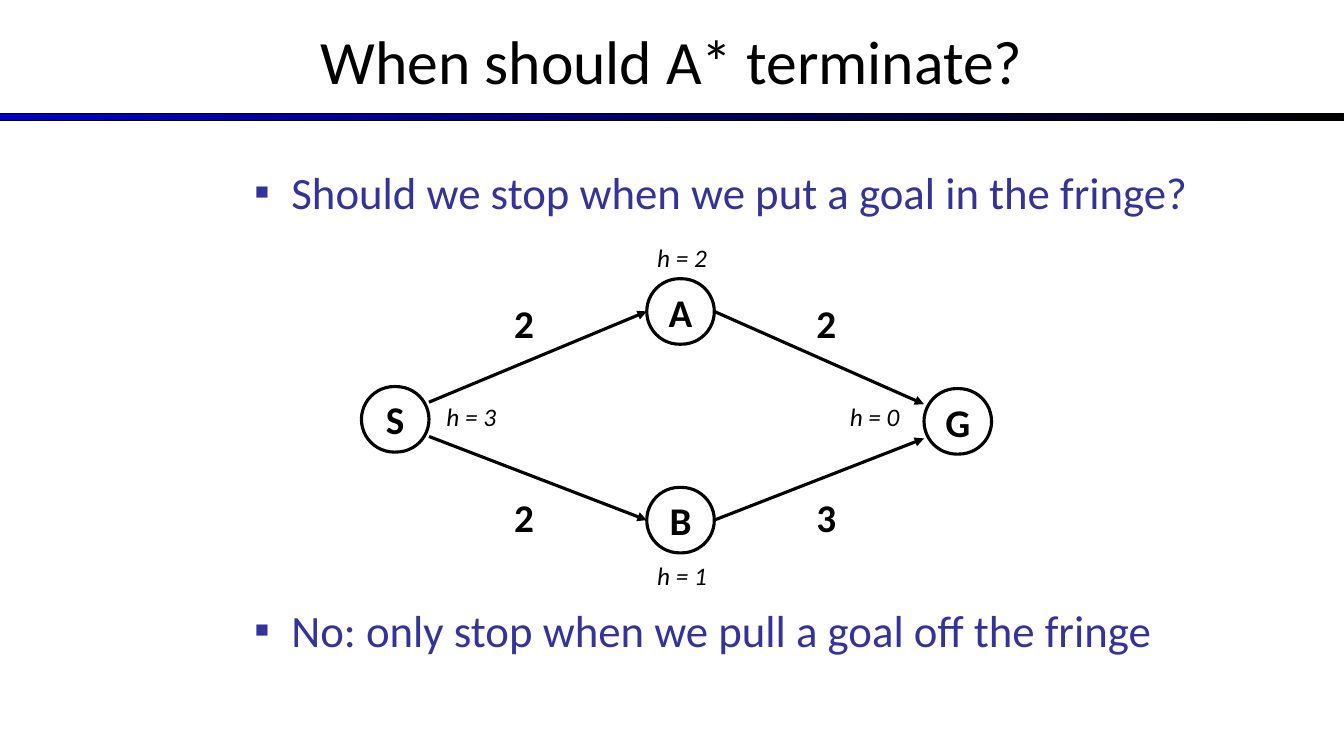
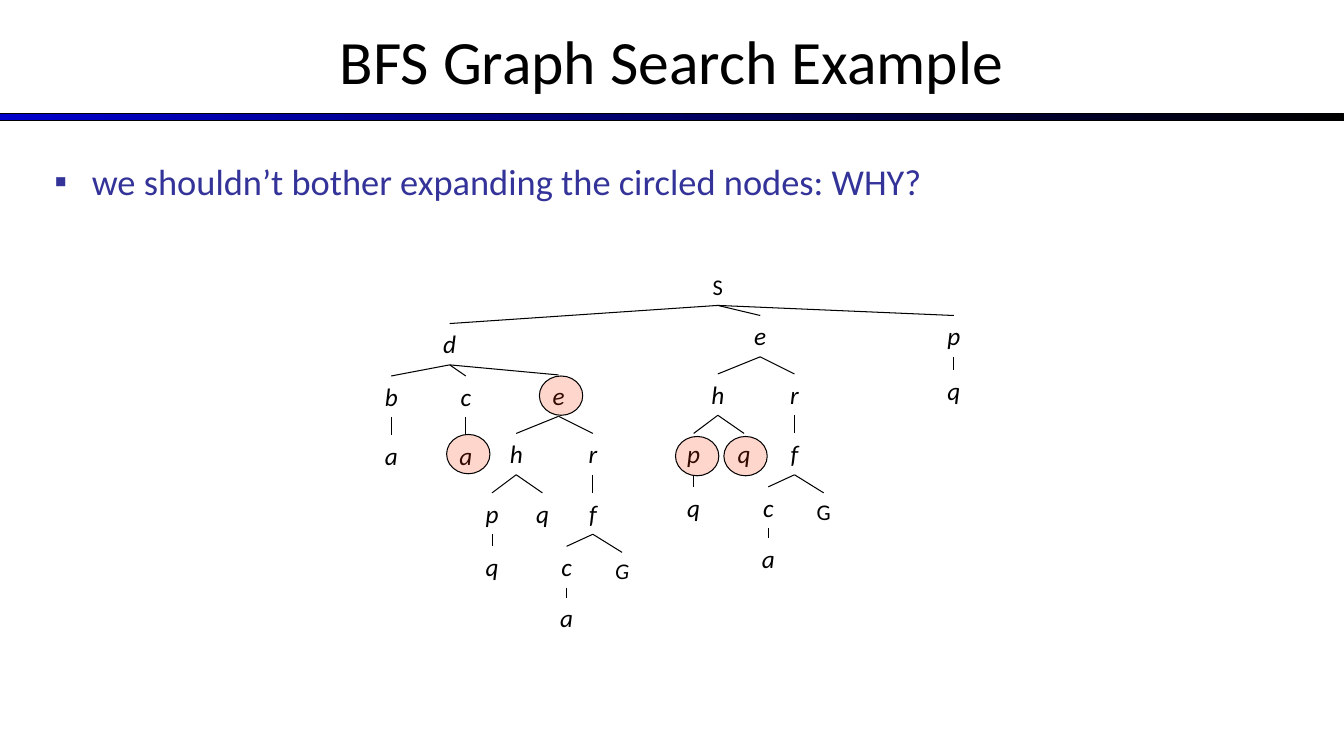
import pptx
import pptx.util
import pptx.dml.color
import pptx.enum.shapes
import pptx.enum.text
from lxml import etree
from pptx.oxml.ns import qn

Inches, Pt = pptx.util.Inches, pptx.util.Pt
SHAPE = pptx.enum.shapes.MSO_SHAPE
ALIGN = pptx.enum.text.PP_ALIGN
ANCHOR = pptx.enum.text.MSO_ANCHOR

# Shared style
WIDTH, HEIGHT = 13.33, 7.5
FONT = "Calibri"
BLACK, NAVY, BLUE, RED = "000000", "333399", "0000CC", "FF3300"
TITLE_BOX = (0, -0.03, WIDTH, 1.25)
RULE_BOX = (0, 1.13, WIDTH, 0.07)

# Content: search graph
GRAPH_TITLE = "When should A* terminate?"
GRAPH_POINTS = ["Should we stop when we put a goal in the fringe?",
                "No: only stop when we pull a goal off the fringe"]
STATE_W, STATE_H = 0.67, 0.65
STATES = {  # centre of each state
    "S": (3.92, 4.16),
    "B": (6.75, 5.16),
    "A": (6.75, 3.09),
    "G": (9.5, 4.18),
}
FAN = 0.17  # vertical spread of the edges at S and G
EDGES = [  # start, end, shift at start, shift at end
    ("A", "G", 0, -FAN),
    ("S", "A", -FAN, 0),
    ("S", "B", FAN, 0),
    ("B", "G", 0, FAN),
]
COSTS = [("2", 5, 2.92), ("3", 8, 4.84), ("2", 8, 2.92), ("2", 5, 4.84)]
HEURISTICS = [("h = 1", 6.42, 5.51), ("h = 2", 6.42, 2.35),
              ("h = 0", 8.33, 3.93), ("h = 3", 4.33, 3.93)]


# Content: search tree, each node placed from its parent's bottom centre
def node(label, dx, dy, *children, size=18, italic=True):
    return label, dx, dy, children, size, italic


def e_subtree(dx, dy, goal_italic):
    goal = node("G", 0.29, 0.18, size=16, italic=goal_italic)
    return node(
        "e", dx, dy,
        node("h", -0.42, 0.17,
             node("p", -0.24, 0.18, node("q", 0, 0.12)),
             node("q", 0.26, 0.18)),
        node("r", 0.34, 0.17,
             node("f", 0, 0.18,
                  node("c", -0.26, 0.12, node("a", 0, 0.1)), goal)))


TREE_TITLE = "BFS Graph Search Example"
TREE_POINTS = ["we shouldn’t bother expanding the circled nodes: WHY?"]
NODE_W = 0.42
NODE_H = {18: 0.41, 16: 0.37}
ROOT_AT = (7.12, 2.66)
TREE = node(
    "S", 0, 0,
    node("d", -2.66, 0.18,
         node("b", -0.58, 0.11, node("a", 0, 0.18)),
         node("c", 0.16, 0.11, node("a", 0, 0.18)),
         e_subtree(1.08, 0.1, True)),
    e_subtree(0.42, 0.1, False),
    node("p", 2.34, 0.1, node("q", 0, 0.13)),
    size=16, italic=False)
RING_SIZE = (0.43, 0.39)
RINGS = [(5.35, 3.73), (6.7, 4.33), (4.43, 4.31), (7.18, 4.33)]


# Drawing helpers
def color(hex_code):
    return pptx.dml.color.RGBColor.from_string(hex_code)


def box(*lengths):
    return [Inches(length) for length in lengths]


def place(shape, area):
    shape.left, shape.top, shape.width, shape.height = box(*area)


def add_run(paragraph, text, size, ink=BLACK, bold=False, italic=False):
    run = paragraph.add_run()
    run.text = text
    font = run.font
    font.name, font.size, font.bold, font.italic = FONT, Pt(size), bold, italic
    font.color.rgb = color(ink)


def add_label(slide, text, area, size, align=ALIGN.LEFT, **style):
    frame = slide.shapes.add_textbox(*box(*area)).text_frame
    frame.word_wrap = True
    frame.paragraphs[0].alignment = align
    add_run(frame.paragraphs[0], text, size, **style)


def add_outlined(slide, kind, area, weight):
    shape = slide.shapes.add_shape(kind, *box(*area))
    shape.shadow.inherit = False
    shape.fill.background()
    shape.line.color.rgb = color(BLACK)
    shape.line.width = Pt(weight)
    return shape


def add_edge(slide, start, end, weight, arrow=False):
    edge = slide.shapes.add_connector(
        pptx.enum.shapes.MSO_CONNECTOR.STRAIGHT, *box(*start, *end))
    edge.line.color.rgb = color(BLACK)
    edge.line.width = Pt(weight)
    if arrow:
        etree.SubElement(edge.line._get_or_add_ln(), qn("a:tailEnd"), type="triangle")
    etree.SubElement(edge._element.spPr, qn("a:effectLst"))


def add_bullet(paragraph):
    props = paragraph._p.get_or_add_pPr()
    props.set("marL", str(Inches(0.37)))
    props.set("indent", str(-Inches(0.37)))
    ink = etree.SubElement(props, qn("a:buClr"))
    etree.SubElement(ink, qn("a:srgbClr"), val=NAVY)
    etree.SubElement(props, qn("a:buChar"), char="▪")


def add_page(prs, title, points, area, size, gap=0):
    slide = prs.slides.add_slide(prs.slide_layouts[1])
    heading = slide.shapes.title.text_frame
    heading.vertical_anchor = ANCHOR.MIDDLE
    heading.paragraphs[0].alignment = ALIGN.CENTER
    add_run(heading.paragraphs[0], title, 44)

    body = slide.placeholders[1]
    place(body, area)
    body.text_frame.auto_size = pptx.enum.text.MSO_AUTO_SIZE.NONE
    for i, point in enumerate(points):
        paragraph = body.text_frame.paragraphs[0] if i == 0 else body.text_frame.add_paragraph()
        add_bullet(paragraph)
        paragraph.space_before = Pt(gap if i else 0)
        add_run(paragraph, point, size, NAVY)
    return slide


def add_rule_to_layout(slide):
    """Draw the gradient rule and move it to the layout all slides use."""
    rule = add_outlined(slide, SHAPE.RECTANGLE, RULE_BOX, 0.75)
    rule.fill.gradient()
    rule.fill.gradient_angle = 0
    for stop, ink in zip(rule.fill.gradient_stops, (BLUE, BLACK)):
        stop.color.rgb = color(ink)
    slide.slide_layout.shapes._spTree.insert(2, rule._element)


# Slides
def draw_graph(slide):
    for name, (x, y) in STATES.items():
        area = (x - STATE_W / 2, y - STATE_H / 2, STATE_W, STATE_H)
        state = add_outlined(slide, SHAPE.ROUNDED_RECTANGLE, area, 2.25)
        state.adjustments[0] = 0.5
        frame = state.text_frame
        frame.word_wrap = False
        frame.vertical_anchor = ANCHOR.MIDDLE
        frame.paragraphs[0].alignment = ALIGN.CENTER
        add_run(frame.paragraphs[0], name, 28, bold=True)
    for start, end, start_shift, end_shift in EDGES:
        (x1, y1), (x2, y2) = STATES[start], STATES[end]
        add_edge(slide, (x1 + STATE_W / 2, y1 + start_shift),
                 (x2 - STATE_W / 2, y2 + end_shift), 2.25, arrow=True)
    for cost, left, top in COSTS:
        add_label(slide, cost, (left, top, 0.5, 0.57), 28, bold=True)
    for estimate, left, top in HEURISTICS:
        add_label(slide, estimate, (left, top, 1, 0.4), 18, italic=True)


def draw_tree(slide, branch, origin):
    label, dx, dy, children, size, italic = branch
    x, top = origin[0] + dx, origin[1] + dy
    bottom = top + NODE_H[size]
    add_label(slide, label, (x - NODE_W / 2, top, NODE_W, NODE_H[size]), size,
              ALIGN.CENTER, italic=italic)
    for child in children:
        add_edge(slide, (x, bottom), (x + child[1], bottom + child[2]), 0.75)
        draw_tree(slide, child, (x, bottom))


def draw_rings(slide):
    for corner in RINGS:
        ring = add_outlined(slide, SHAPE.OVAL, corner + RING_SIZE, 0.75)
        ring.fill.solid()
        ring.fill.fore_color.rgb = color(RED)
        tint = ring._element.spPr.find(qn("a:solidFill")).find(qn("a:srgbClr"))
        etree.SubElement(tint, qn("a:alpha"), val="20000")


def main():
    prs = pptx.Presentation()
    prs.slide_width, prs.slide_height = box(WIDTH, HEIGHT)
    place(prs.slide_layouts[1].placeholders[0], TITLE_BOX)

    graph = add_page(prs, GRAPH_TITLE, GRAPH_POINTS, (2.42, 1.58, 10.64, 5), 32, gap=274.5)
    add_rule_to_layout(graph)
    draw_graph(graph)

    tree = add_page(prs, TREE_TITLE, TREE_POINTS, (0.44, 1.53, 12.44, 5.17), 26)
    draw_tree(tree, TREE, ROOT_AT)
    draw_rings(tree)
    prs.save("out.pptx")


if __name__ == "__main__":
    main()
